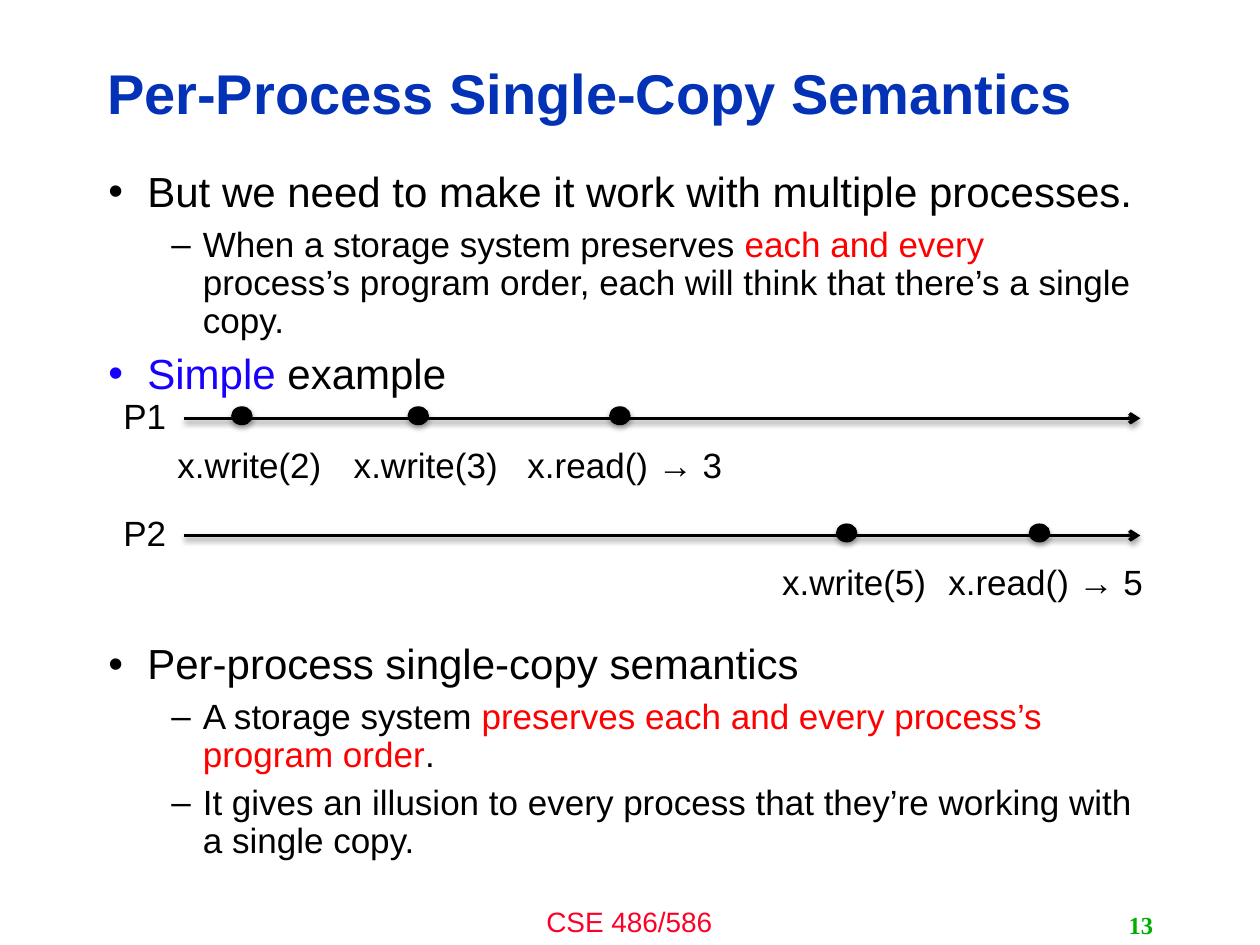
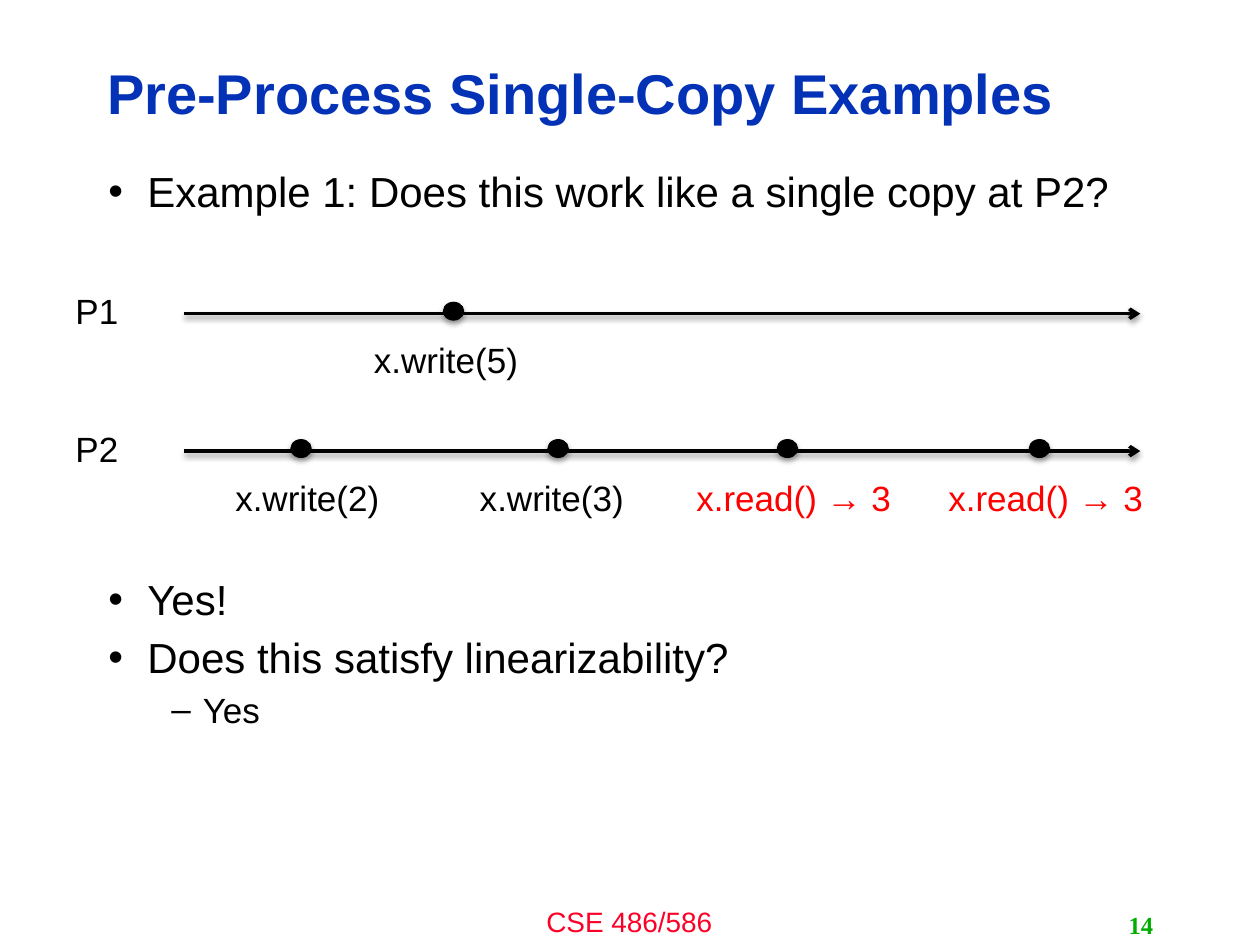
from dataclasses import dataclass

from pptx import Presentation
from pptx.dml.color import RGBColor
from pptx.enum.shapes import MSO_CONNECTOR as Connector, MSO_SHAPE as Preset
from pptx.enum.text import MSO_ANCHOR as Anchor, MSO_AUTO_SIZE as AutoSize, PP_ALIGN as Align
from pptx.oxml import parse_xml
from pptx.oxml.ns import nsdecls, qn
from pptx.util import Inches, Pt

BLACK, RED, BLUE = "000000", "FF0000", "1800FF"
TITLE_BLUE, FOOTER_RED, NUMBER_GREEN = "0332B7", "FC0128", "00AE00"
FONT, NUMBER_FONT = "Arial", "Times New Roman"
LINE_SPACING = 0.9
LEVEL_SIZES = (24, 20)
LEVEL_INDENTS = ((0.31, -0.31), (0.75, -0.25))

TIMELINE_START, TIMELINE_END = 1.46, 9.05
DOT_WIDTH, DOT_HEIGHT = 0.16, 0.14
LABEL_WIDTH, LABEL_HEIGHT = 3.43, 0.44


@dataclass
class Span:
    text: str
    color: str = BLACK


@dataclass
class Item:
    """A list entry; gap is the room kept free above it, in points."""
    spans: list[Span]
    level: int = 0
    gap: float | None = None


@dataclass
class Event:
    """A dot on a timeline with a label centred at label_x."""
    text: str
    dot_x: float
    label_x: float
    color: str = BLACK


@dataclass
class Timeline:
    name: str
    name_left: float
    y: float
    events: list[Event]


@dataclass
class SlideContent:
    number: int
    title: str
    items: list[Item]
    timelines: list[Timeline]


SLIDES = [
    SlideContent(
        13,
        "Per-Process Single-Copy Semantics",
        [
            Item([Span("But we need to make it work with multiple processes.")]),
            Item([Span("When a storage system preserves "), Span("each and every", RED),
                  Span(" process’s program order, each will think that there’s a single copy.")], 1),
            Item([Span("Simple", BLUE), Span(" example")]),
            Item([Span("Per-process single-copy semantics")], gap=140),
            Item([Span("A storage system "),
                  Span("preserves each and every process’s program order", RED), Span(".")], 1),
            Item([Span("It gives an illusion to every process that they’re working with "
                       "a single copy.")], 1),
        ],
        [
            Timeline("P1", 0.88, 3.32, [
                Event("x.write(2)", 1.92, 1.98),
                Event("x.write(3)", 3.32, 3.38),
                Event("x.read() → 3", 4.92, 4.96),
            ]),
            Timeline("P2", 0.88, 4.25, [
                Event("x.write(5)", 6.72, 6.78),
                Event("x.read() → 5", 8.25, 8.3),
            ]),
        ],
    ),
    SlideContent(
        14,
        "Pre-Process Single-Copy Examples",
        [
            Item([Span("Example 1: Does this work like a single copy at P2?")]),
            Item([Span("Yes!")], gap=207),
            Item([Span("Does this satisfy linearizability?")]),
            Item([Span("Yes")], 1),
        ],
        [
            Timeline("P1", 0.5, 2.49, [Event("x.write(5)", 3.6, 3.54)]),
            Timeline("P2", 0.5, 3.58, [
                Event("x.write(2)", 2.39, 2.44),
                Event("x.write(3)", 4.43, 4.38),
                Event("x.read() → 3", 6.25, 6.3, RED),
                Event("x.read() → 3", 8.25, 8.3, RED),
            ]),
        ],
    ),
]


def rgb(color: str) -> RGBColor:
    return RGBColor.from_string(color)


def add_run(paragraph, text: str, size: float, color: str = BLACK,
            bold: bool = False, font: str = FONT) -> None:
    run = paragraph.add_run()
    run.text = text
    run.font.name = font
    run.font.size = Pt(size)
    run.font.bold = bold
    run.font.color.rgb = rgb(color)


def place(shape, left: float, top: float, width: float, height: float) -> None:
    shape.left, shape.top = Inches(left), Inches(top)
    shape.width, shape.height = Inches(width), Inches(height)


def add_text(slide, box: tuple[float, float, float, float], text: str, size: float,
             color: str = BLACK, align: Align = Align.LEFT, bold: bool = False,
             font: str = FONT, anchor: Anchor = Anchor.TOP) -> None:
    frame = slide.shapes.add_textbox(*map(Inches, box)).text_frame
    frame.word_wrap = True
    frame.vertical_anchor = anchor
    paragraph = frame.paragraphs[0]
    paragraph.alignment = align
    add_run(paragraph, text, size, color, bold, font)


def add_shadow(shape, opacity: int, distance: float) -> None:
    """Give the shape a soft black shadow straight below it."""
    shape.element.spPr.append(parse_xml(
        f'<a:effectLst {nsdecls("a")}>'
        f'<a:outerShdw blurRad="{Pt(3.1)}" dist="{Pt(distance)}" dir="5400000" rotWithShape="0">'
        f'<a:srgbClr val="{BLACK}"><a:alpha val="{opacity * 1000}"/></a:srgbClr>'
        '</a:outerShdw></a:effectLst>'))


def style_master_lists(presentation) -> None:
    """Set indents and proportional spacing of the list levels in the master."""
    body_style = presentation.slide_master.element.find(f".//{qn('p:bodyStyle')}")
    for level, (margin, indent) in zip(body_style, LEVEL_INDENTS):
        level.set("marL", str(Inches(margin)))
        level.set("indent", str(Inches(indent)))
        level.find(f"{qn('a:spcBef')}/{qn('a:spcPct')}").set("val", "30000")


def fill_title(slide, text: str) -> None:
    title = slide.shapes.title
    place(title, 0.75, 0.36, 7.98, 0.81)
    frame = title.text_frame
    frame.auto_size = AutoSize.NONE
    frame.vertical_anchor = Anchor.MIDDLE
    paragraph = frame.paragraphs[0]
    paragraph.alignment = Align.LEFT
    paragraph.line_spacing = LINE_SPACING
    add_run(paragraph, text, 32, TITLE_BLUE, bold=True)


def fill_body(slide, items: list[Item]) -> None:
    body = slide.placeholders[1]
    place(body, 0.76, 1.31, 8.4, 5.39)
    frame = body.text_frame
    frame.auto_size = AutoSize.NONE
    for index, item in enumerate(items):
        paragraph = frame.add_paragraph() if index else frame.paragraphs[0]
        paragraph.level = item.level
        paragraph.line_spacing = LINE_SPACING
        if item.gap is not None:
            paragraph.space_before = Pt(item.gap)
        for span in item.spans:
            add_run(paragraph, span.text, LEVEL_SIZES[item.level], span.color)


def add_arrow(slide, y: float) -> None:
    arrow = slide.shapes.add_connector(
        Connector.STRAIGHT, Inches(TIMELINE_START), Inches(y), Inches(TIMELINE_END), Inches(y))
    arrow.line.width = Pt(2)
    arrow.line.color.rgb = rgb(BLACK)
    line = arrow.element.spPr.find(qn("a:ln"))
    line.append(parse_xml(f'<a:tailEnd {nsdecls("a")} type="arrow"/>'))
    add_shadow(arrow, 38, 1.6)


def add_dot(slide, x: float, y: float) -> None:
    """Draw an event dot centred at x, y."""
    dot = slide.shapes.add_shape(
        Preset.OVAL, Inches(x - DOT_WIDTH / 2), Inches(y - DOT_HEIGHT / 2),
        Inches(DOT_WIDTH), Inches(DOT_HEIGHT))
    dot.fill.solid()
    dot.fill.fore_color.rgb = rgb(BLACK)
    dot.line.color.rgb = rgb(BLACK)
    dot.line.width = Pt(0.75)
    add_shadow(dot, 35, 1.8)


def add_timeline(slide, timeline: Timeline) -> None:
    add_arrow(slide, timeline.y)
    add_text(slide, (timeline.name_left, timeline.y - 0.24, 0.95, LABEL_HEIGHT),
             timeline.name, 20)
    for event in timeline.events:
        add_dot(slide, event.dot_x, timeline.y - 0.02)
        label_box = (event.label_x - LABEL_WIDTH / 2, timeline.y + 0.15,
                     LABEL_WIDTH, LABEL_HEIGHT)
        add_text(slide, label_box, event.text, 20, event.color, Align.CENTER)


def add_footer(slide, number: int) -> None:
    add_text(slide, (3.33, 7.13, 3.33, 0.37), "CSE 486/586", 16, FOOTER_RED, Align.CENTER)
    add_text(slide, (7.17, 7.18, 2.08, 0.32), str(number), 14, NUMBER_GREEN, Align.RIGHT,
             bold=True, font=NUMBER_FONT, anchor=Anchor.MIDDLE)


def main() -> None:
    presentation = Presentation()
    presentation.slide_width, presentation.slide_height = Inches(10), Inches(7.5)
    style_master_lists(presentation)
    for content in SLIDES:
        slide = presentation.slides.add_slide(presentation.slide_layouts[1])
        fill_title(slide, content.title)
        fill_body(slide, content.items)
        for timeline in content.timelines:
            add_timeline(slide, timeline)
        add_footer(slide, content.number)
    presentation.save("out.pptx")


if __name__ == "__main__":
    main()
